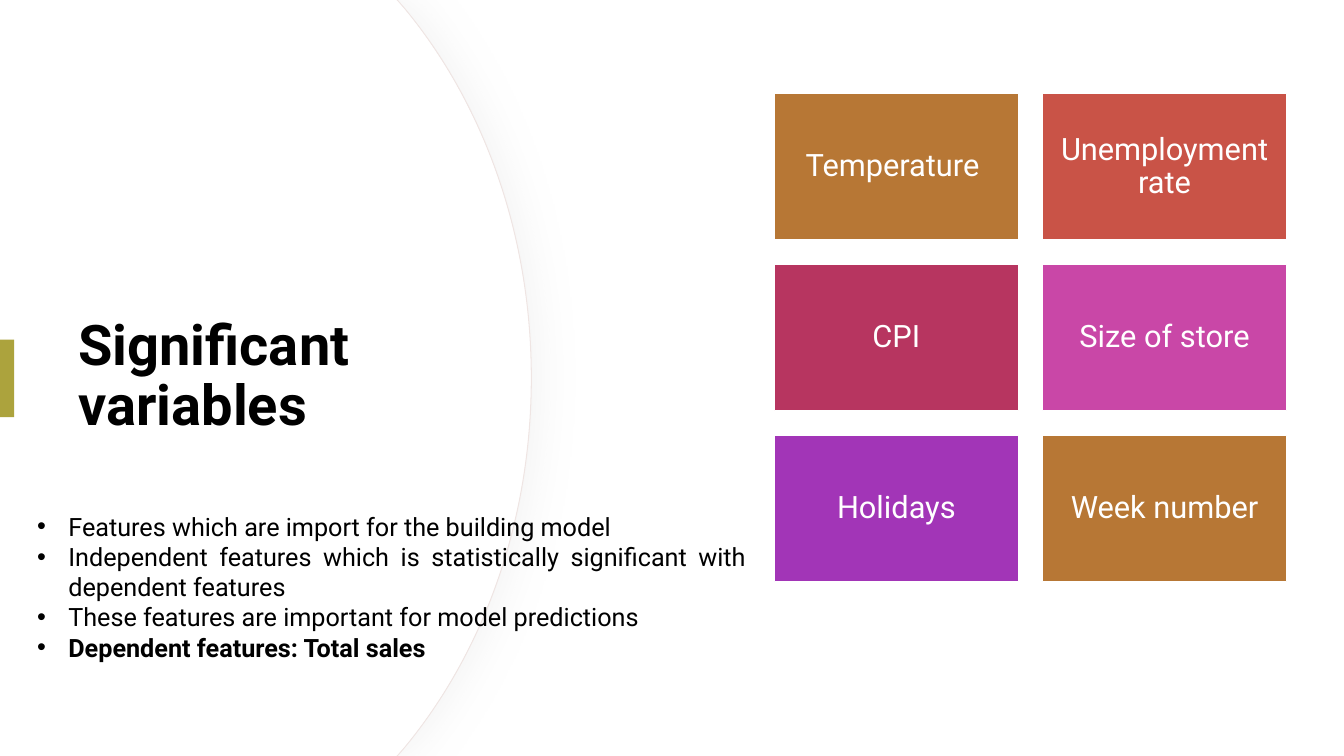
from pptx import Presentation
from pptx.dml.color import RGBColor
from pptx.enum.shapes import MSO_SHAPE as Shape
from pptx.enum.text import MSO_ANCHOR as Anchor, PP_ALIGN as Align
from pptx.oxml import parse_xml
from pptx.oxml.ns import nsdecls
from pptx.util import Emu, Pt

PX = 9144  # 100 px to the inch
FONT = "Roboto"
COLORS = {
    "white": "FFFFFF", "ink": "000000", "edge": "EFE5E3", "shade": "D9D9D9",
    "olive": "ACA33D", "ochre": "B77735", "red": "C95347", "crimson": "B73560",
    "pink": "C947A7", "purple": "A235B7",
}
VARIABLES = [
    ("Temperature ", "ochre"), ("Unemployment rate", "red"),
    ("CPI", "crimson"), ("Size of store", "pink"),
    ("Holidays", "purple"), ("Week number", "ochre"),
]
NOTES = [
    ("Features which are import for the building model ", False),
    ("Independent features which is statistically significant with dependent features", False),
    ("These features are important for model predictions ", False),
    ("Dependent features: Total sales ", True),
]


def color(name):
    return RGBColor.from_string(COLORS[name])


def emu(*lengths):
    return [Emu(round(length * PX)) for length in lengths]


def paint(shape, fill, line=None, width=1):
    shape.shadow.inherit = False
    shape.fill.solid()
    shape.fill.fore_color.rgb = color(fill)
    if line:
        shape.line.color.rgb = color(line)
        shape.line.width = Pt(width)
    else:
        shape.line.fill.background()


def add_rect(page, box, fill, line=None):
    rect = page.shapes.add_shape(Shape.RECTANGLE, *emu(*box))
    paint(rect, fill, line)
    return rect


def add_text_box(page, box, anchor):
    frame = page.shapes.add_textbox(*emu(*box)).text_frame
    frame.word_wrap = True
    frame.vertical_anchor = anchor
    return frame


def add_span(para, text, size, ink, bold=False):
    span = para.add_run()
    span.text = text
    span.font.name = FONT
    span.font.size = Pt(size)
    span.font.bold = bold
    span.font.color.rgb = color(ink)


def bend(lines):
    """Turn three line segments into one cubic curve through their points."""
    curve = parse_xml(f'<a:cubicBezTo {nsdecls("a")}/>')
    lines[0].addprevious(curve)
    for line in lines:
        curve.append(line[0])
        line.getparent().remove(line)


def add_panel(page, box):
    """White panel whose right side bulges outwards."""
    left, top, width, height = box
    right, middle = left + width, top + height / 2
    upper = [(right - 133, top), (right - 126, top + 8),
             (right - 48, top + 102), (right, top + 232)]
    lower = [(x, 2 * middle - y) for x, y in reversed(upper)]
    points = upper + [(right, middle)] + lower + [(left, top + height)]
    outline = page.shapes.build_freeform(left * PX, top * PX, scale=1.0)
    outline.add_line_segments([tuple(emu(*point)) for point in points])
    panel = outline.convert_to_shape()
    lines = panel.element.findall(".//{*}lnTo")
    bend(lines[2:5])
    bend(lines[5:8])
    return panel


def add_backdrop(page, box):
    left, top, width, height = box
    rim = add_panel(page, box)
    paint(rim, "white", "edge", 0.75)
    rim.element.spPr.find("{*}effectLst").append(parse_xml(
        f'<a:outerShdw {nsdecls("a")} blurRad="{Pt(30)}" dist="{Pt(4)}" dir="0">'
        f'<a:srgbClr val="{COLORS["shade"]}"><a:alpha val="30000"/></a:srgbClr>'
        '</a:outerShdw>'))
    paint(add_panel(page, (left, top, width - 1, height)), "white")


def add_title(page, box):
    para = add_text_box(page, box, Anchor.MIDDLE).paragraphs[0]
    para.line_spacing = 0.9
    add_span(para, "Significant variables", 40, "ink", True)


def add_tiles(page, box, columns=2, tile_width=242, tile_height=145):
    left, top, width, height = box
    rows = len(VARIABLES) // columns
    step_x = (width - tile_width) / (columns - 1)
    step_y = (height - tile_height) / (rows - 1)
    for index, (label, fill) in enumerate(VARIABLES):
        row, column = divmod(index, columns)
        tile = add_rect(page, (left + column * step_x, top + row * step_y,
                               tile_width, tile_height), fill, "white")
        frame = tile.text_frame
        frame.word_wrap = True
        frame.vertical_anchor = Anchor.MIDDLE
        frame.margin_left, frame.margin_top, frame.margin_right, frame.margin_bottom = emu(9, 9, 9, 9)
        para = frame.paragraphs[0]
        para.alignment = Align.CENTER
        para.line_spacing = 0.9
        add_span(para, label, 22, "white")


def add_notes(page, box, indent=31):
    frame = add_text_box(page, box, Anchor.TOP)
    for index, (text, bold) in enumerate(NOTES):
        para = frame.add_paragraph() if index else frame.paragraphs[0]
        para.alignment = Align.JUSTIFY
        props = para._p.get_or_add_pPr()
        props.set("marL", str(indent * PX))
        props.set("indent", str(-indent * PX))
        props.append(parse_xml(f'<a:buFont {nsdecls("a")} typeface="Arial"/>'))
        props.append(parse_xml(f'<a:buChar {nsdecls("a")} char="•"/>'))
        add_span(para, text, 18, "ink", bold)


def main():
    deck = Presentation()
    deck.slide_width, deck.slide_height = emu(1333, 750)
    page = deck.slides.add_slide(deck.slide_layouts[6])
    add_rect(page, (0, 0, 1333, 750), "white")
    add_backdrop(page, (0, 0, 527, 750))
    add_title(page, (68, 127, 394, 495))
    add_rect(page, (0, 337, 14, 77), "olive")
    add_tiles(page, (768, 93, 508, 484))
    add_notes(page, (27, 502, 723, 162))
    deck.save("out.pptx")


if __name__ == "__main__":
    main()
